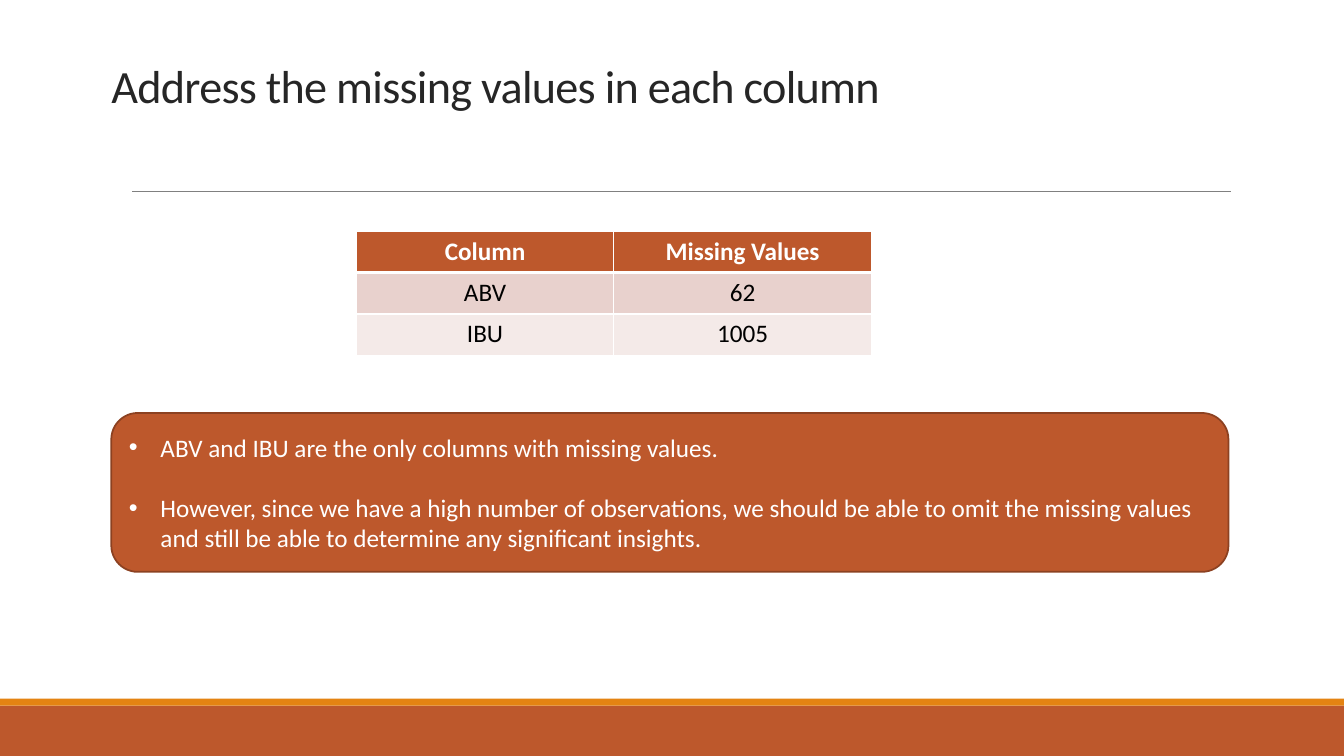
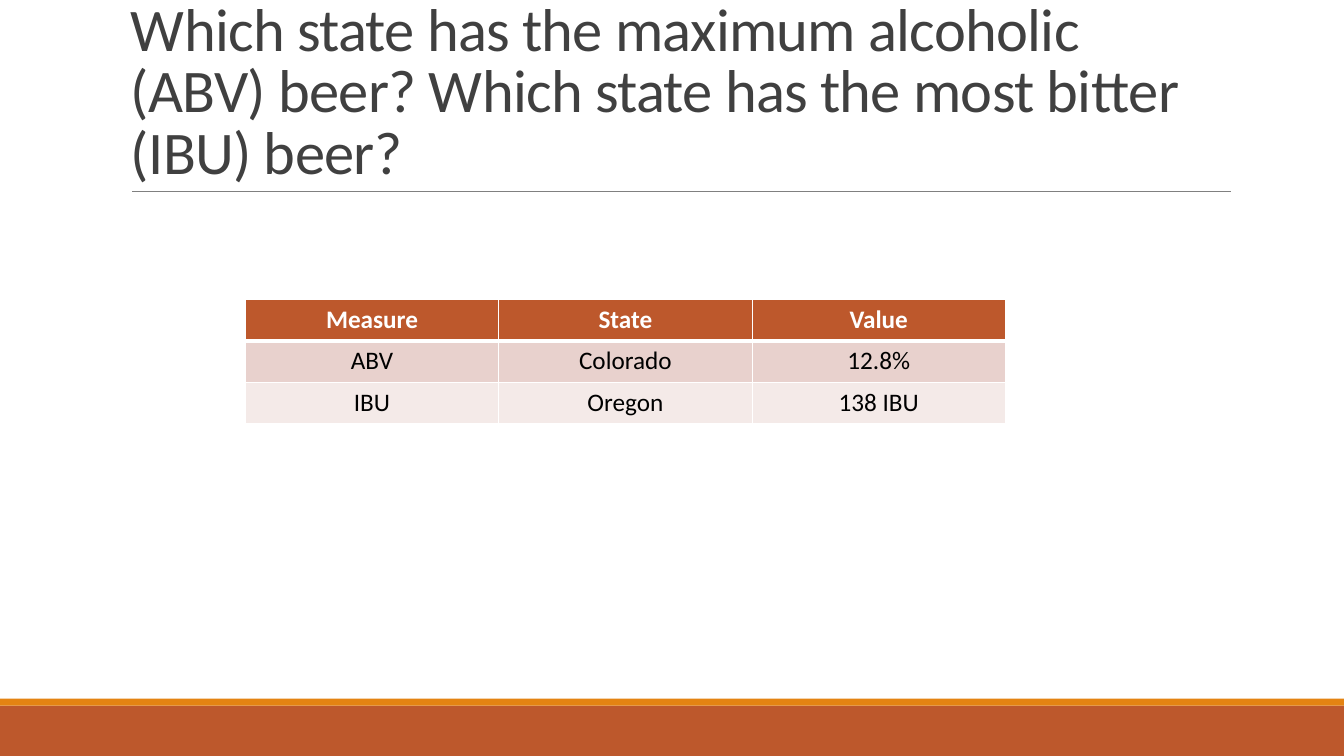
from lxml.etree import SubElement
from pptx import Presentation
from pptx.dml.color import RGBColor
from pptx.enum.shapes import MSO_CONNECTOR, MSO_SHAPE
from pptx.enum.text import MSO_ANCHOR, PP_ALIGN
from pptx.oxml import parse_xml
from pptx.oxml.ns import nsdecls, qn
from pptx.util import Pt

COLORS = {
    "rust": "BD582C", "rust_edge": "8C4121", "orange": "E48312",
    "rule": "808080", "title": "404040", "title_dark": "262626",
    "band_dark": "E8D1CD", "band_light": "F4EAE8",
    "white": "FFFFFF", "black": "000000",
}
FONT = "Calibri"
WIDTH, HEIGHT = 960, 540


def rgb(name):
    """Return a named palette colour."""
    return RGBColor.from_string(COLORS[name])


def write(p, text, size=18, color="black", bold=False, align=PP_ALIGN.LEFT,
          line_spacing=None, after=0, tracking=None, bullet_indent=None):
    """Write one formatted run into a paragraph."""
    p.alignment = align
    p.space_after = Pt(after)
    if line_spacing:
        p.line_spacing = line_spacing
    if bullet_indent:
        pPr = p._p.get_or_add_pPr()
        pPr.set("marL", str(Pt(bullet_indent)))
        pPr.set("indent", str(Pt(-bullet_indent)))
        SubElement(pPr, qn("a:buFont")).set("typeface", "Arial")
        SubElement(pPr, qn("a:buChar")).set("char", "•")
    r = p.add_run()
    r.text = text
    r.font.name, r.font.size, r.font.bold = FONT, Pt(size), bold
    r.font.color.rgb = rgb(color)
    if tracking is not None:
        r._r.get_or_add_rPr().set("spc", str(int(tracking * 100)))


def set_borders(cell, **widths):
    """Give a cell white borders of the stated widths."""
    tcPr = cell._tc.get_or_add_tcPr()
    for i, side in enumerate("LRTB"):
        tcPr.insert(i, parse_xml(
            f'<a:ln{side} {nsdecls("a")} w="{Pt(widths.get(side, 1))}"><a:solidFill>'
            f'<a:srgbClr val="{COLORS["white"]}"/></a:solidFill></a:ln{side}>'))


class Deck:
    """Hold the presentation, its shared style and the current slide."""

    def __init__(self):
        """Start an empty widescreen presentation."""
        self.prs = Presentation()
        self.prs.slide_width, self.prs.slide_height = Pt(WIDTH), Pt(HEIGHT)
        self.s = None

    def slide(self):
        """Add a slide with the footer bands and title rule."""
        self.s = self.prs.slides.add_slide(self.prs.slide_layouts[6])
        self.box(0, 504, WIDTH, 36, "rust")
        self.box(0, 499, WIDTH, 5, "orange")
        self.rule(94.5, 137, 879)

    def box(self, x, y, w, h, fill, edge=None, kind=MSO_SHAPE.RECTANGLE):
        """Add a filled preset shape, outlined if an edge colour is given."""
        sp = self.s.shapes.add_shape(kind, Pt(x), Pt(y), Pt(w), Pt(h))
        sp.shadow.inherit = False
        sp.fill.solid()
        sp.fill.fore_color.rgb = rgb(fill)
        if edge:
            sp.line.color.rgb = rgb(edge)
            sp.line.width = Pt(1.25)
        else:
            sp.line.fill.background()
        return sp

    def rule(self, x1, y, x2):
        """Add a thin horizontal line."""
        sp = self.s.shapes.add_connector(
            MSO_CONNECTOR.STRAIGHT, Pt(x1), Pt(y), Pt(x2), Pt(y))
        sp.line.color.rgb = rgb("rule")
        sp.line.width = Pt(0.5)
        SubElement(sp._element.spPr, qn("a:effectLst"))

    def title(self, text, x, y, w, h, size, color):
        """Add a bottom-anchored title."""
        tf = self.s.shapes.add_textbox(Pt(x), Pt(y), Pt(w), Pt(h)).text_frame
        tf.word_wrap = True
        tf.vertical_anchor = MSO_ANCHOR.BOTTOM
        write(tf.paragraphs[0], text, size=size, color=color,
              line_spacing=0.85, tracking=-0.5)

    def bullets(self, items, x, y, w, h, gap):
        """Add a rounded panel of bulleted statements."""
        sp = self.box(x, y, w, h, "rust", "rust_edge", MSO_SHAPE.ROUNDED_RECTANGLE)
        tf = sp.text_frame
        tf.word_wrap = True
        tf.vertical_anchor = MSO_ANCHOR.MIDDLE
        for i, text in enumerate(items):
            p = tf.add_paragraph() if i else tf.paragraphs[0]
            write(p, text, color="white", bullet_indent=22.5,
                  after=gap if i < len(items) - 1 else 0)

    def table(self, rows, x, y, col_w, row_h=29.5):
        """Add a table with a header row and alternating body rows."""
        n, m = len(rows), len(rows[0])
        tbl = self.s.shapes.add_table(
            n, m, Pt(x), Pt(y), Pt(col_w * m), Pt(row_h * n)).table
        tbl.first_row = tbl.horz_banding = False
        for col in tbl.columns:
            col.width = Pt(col_w)
        for i, row in enumerate(rows):
            tbl.rows[i].height = Pt(row_h)
            header = i == 0
            fill = "rust" if header else ("band_light", "band_dark")[i % 2]
            for j, text in enumerate(row):
                cell = tbl.cell(i, j)
                cell.fill.solid()
                cell.fill.fore_color.rgb = rgb(fill)
                set_borders(cell, T=3 if i == 1 else 1, B=3 if header else 1)
                write(cell.text_frame.paragraphs[0], text, bold=header,
                      color="white" if header else "black", align=PP_ALIGN.CENTER)


def main():
    """Build and save both slides."""
    deck = Deck()

    deck.slide()
    deck.title("Address the missing values in each column",
               72.5, 39, 859, 45, 33, "title_dark")
    deck.bullets(
        ["ABV and IBU are the only columns with missing values.",
         "However, since we have a high number of observations, we should be able "
         "to omit the missing values and still be able to determine any "
         "significant insights."],
        79.5, 295, 798, 113.5, gap=21.5)
    deck.table([("Column", "Missing Values"), ("ABV", "62"), ("IBU", "1005")],
               254.5, 165.25, 184)

    deck.slide()
    deck.title("Which state has the maximum alcoholic (ABV) beer? "
               "Which state has the most bitter (IBU) beer?",
               86.5, 22.5, 792, 114.5, 43.2, "title")
    deck.table([("Measure", "State", "Value"),
                ("ABV", "Colorado", "12.8%"),
                ("IBU", "Oregon", "138 IBU")],
               175.25, 214, 181)

    deck.prs.save("out.pptx")


if __name__ == "__main__":
    main()
